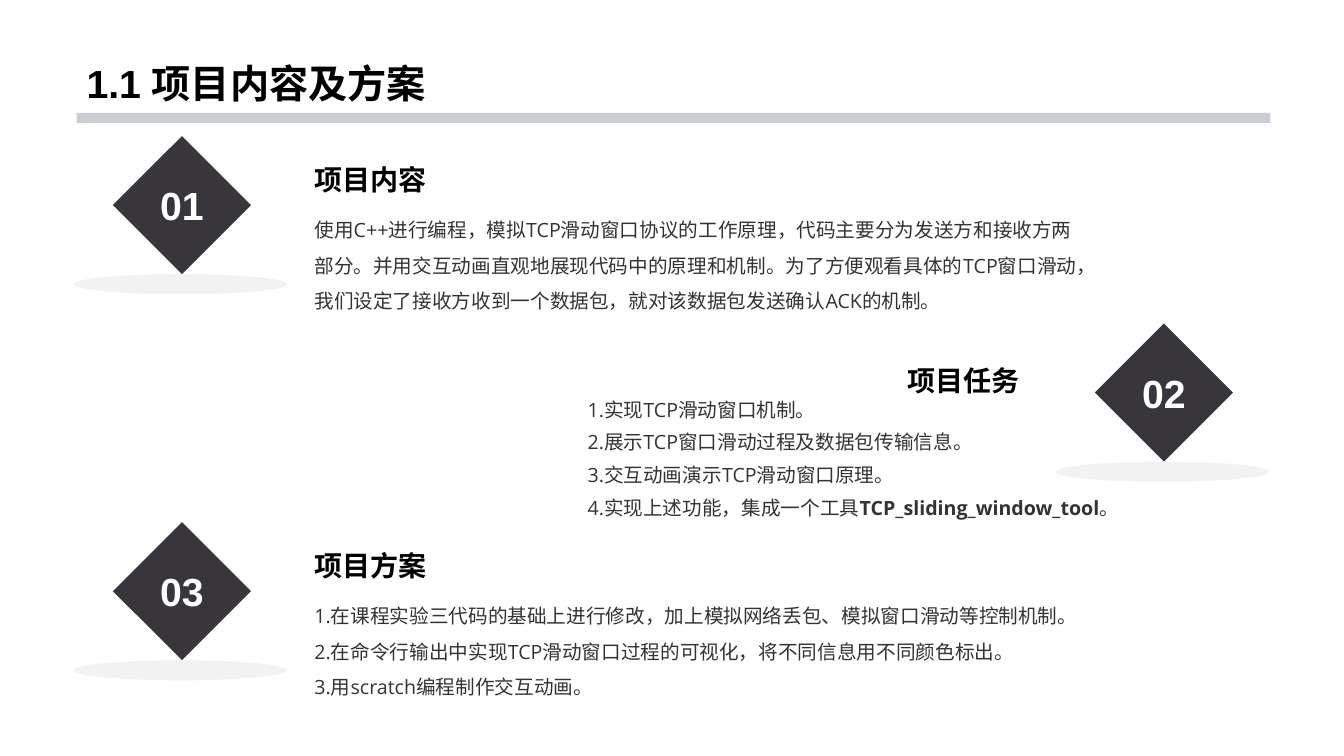
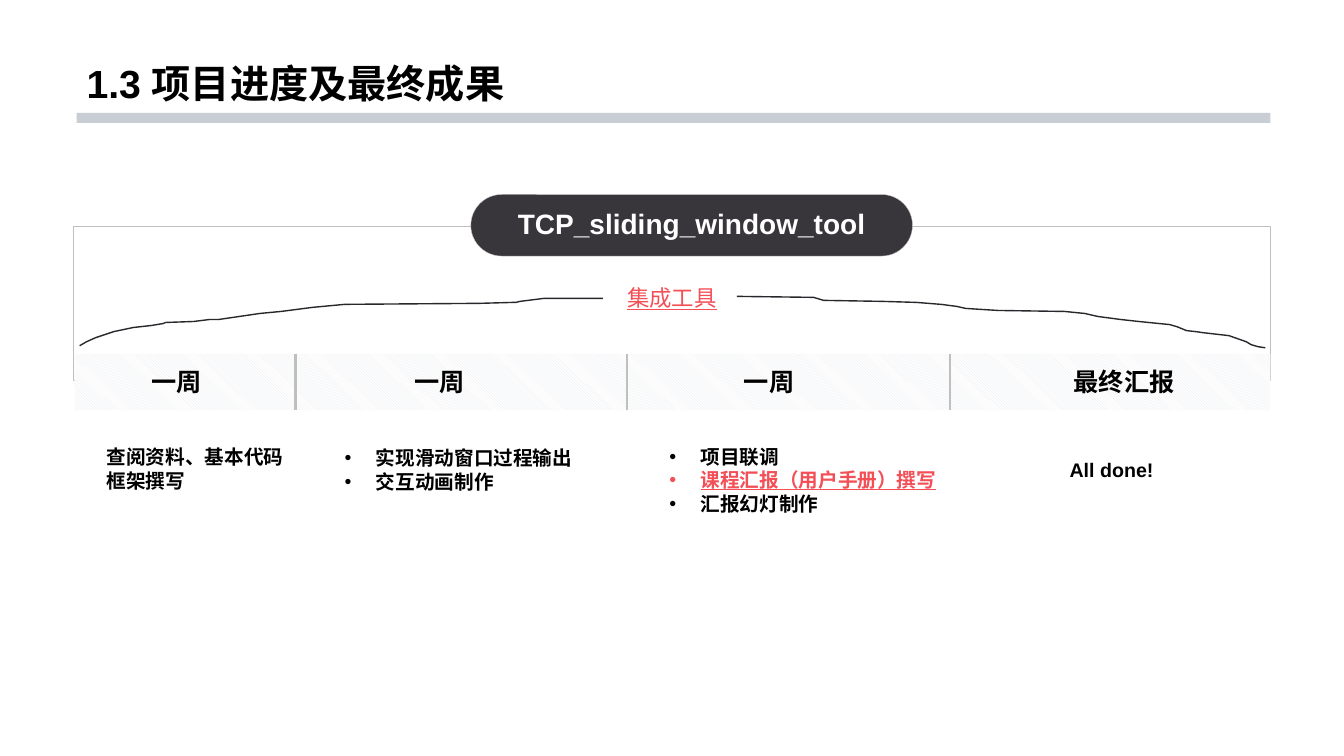
from dataclasses import dataclass
from typing import NamedTuple

from lxml import etree
from pptx import Presentation
from pptx.dml.color import RGBColor
from pptx.enum.dml import MSO_PATTERN
from pptx.enum.lang import MSO_LANGUAGE_ID
from pptx.enum.shapes import MSO_CONNECTOR, MSO_SHAPE
from pptx.enum.text import MSO_ANCHOR, PP_ALIGN
from pptx.oxml.ns import qn
from pptx.util import Inches, Pt

BLACK = RGBColor(0x00, 0x00, 0x00)
WHITE = RGBColor(0xFF, 0xFF, 0xFF)
DARK = RGBColor(0x38, 0x35, 0x3B)
BODY_GREY = RGBColor(0x33, 0x33, 0x33)
BAND_GREY = RGBColor(0xC9, 0xCE, 0xD5)
SHADOW_GREY = RGBColor(0xF2, 0xF2, 0xF2)
LINE_GREY = RGBColor(0xBF, 0xBF, 0xBF)
STRIPE_GREY = RGBColor(0xE4, 0xE6, 0xEA)
CURVE_DARK = RGBColor(0x29, 0x27, 0x2C)
RED = RGBColor(0xF3, 0x4F, 0x56)

HEAD_FONT, BODY_FONT = "Arial", "Open Sans"
LEFT, CENTER, RIGHT = PP_ALIGN.LEFT, PP_ALIGN.CENTER, PP_ALIGN.RIGHT
TOP, MIDDLE, BOTTOM = MSO_ANCHOR.TOP, MSO_ANCHOR.MIDDLE, MSO_ANCHOR.BOTTOM
RECT, ROUNDED = MSO_SHAPE.RECTANGLE, MSO_SHAPE.ROUNDED_RECTANGLE
DIAMOND, OVAL = MSO_SHAPE.DIAMOND, MSO_SHAPE.OVAL
STRAIGHT = MSO_CONNECTOR.STRAIGHT
STRIPES = MSO_PATTERN.DARK_DOWNWARD_DIAGONAL
CHINESE = MSO_LANGUAGE_ID.SIMPLIFIED_CHINESE
TOOL = "TCP_sliding_window_tool"


class Run(NamedTuple):
    text: str
    bold: bool | None = None
    color: RGBColor | None = None
    underline: bool = False


class Box(NamedTuple):
    x: float
    y: float
    w: float
    h: float

    def inches(self):
        return [Inches(v) for v in self]


@dataclass
class Topic:
    number: str
    x: float
    y: float
    heading: str
    heading_box: Box
    body_box: Box
    lines: list
    align: PP_ALIGN = LEFT
    spacing: float = 1.5


@dataclass
class Stage:
    label: str
    label_x: float
    box: Box
    lines: list
    bullet: bool = False


TOPICS = [
    Topic("01", 1.12, 1.35, "项目内容", Box(3.02, 1.51, 7.45, 0.48),
          Box(3.02, 2, 7.83, 1.35),
          ["使用C++进行编程，模拟TCP滑动窗口协议的工作原理，代码主要分为发送方和接收方两部分。"
           "并用交互动画直观地展现代码中的原理和机制。为了方便观看具体的TCP窗口滑动，"
           "我们设定了接收方收到一个数据包，就对该数据包发送确认ACK的机制。"]),
    Topic("02", 10.86, 3.21, "项目任务", Box(3.02, 3.51, 7.19, 0.48),
          Box(5.73, 3.8, 7.6, 1.48),
          ["1.实现TCP滑动窗口机制。",
           "2.展示TCP窗口滑动过程及数据包传输信息。",
           "3.交互动画演示TCP滑动窗口原理。",
           [Run("4.实现上述功能，集成一个工具"), Run(TOOL, bold=True), Run("。")]],
          align=RIGHT, spacing=1.4),
    Topic("03", 1.12, 5.18, "项目方案", Box(3.02, 5.34, 7.45, 0.48),
          Box(3.02, 5.83, 7.61, 1.67),
          ["1.在课程实验三代码的基础上进行修改，加上模拟网络丢包、模拟窗口滑动等控制机制。",
           "2.在命令行输出中实现TCP滑动窗口过程的可视化，将不同信息用不同颜色标出。",
           "3.用scratch编程制作交互动画。"]),
]

STAGES = [
    Stage("一周", 1.4, Box(0.96, 4.23, 2.05, 0.84),
          ["查阅资料、基本代码", "框架撰写"]),
    Stage("一周", 4.01, Box(3.32, 4.1, 2.8, 1.12),
          ["实现滑动窗口过程输出", "交互动画制作"], bullet=True),
    Stage("一周", 7.28, Box(6.54, 4.2, 3, 1.12),
          ["项目联调",
           [Run("课程汇报（用户手册）撰写", color=RED, underline=True)],
           "汇报幻灯制作"], bullet=True),
    Stage("最终汇报", 10.55, Box(10.51, 4.42, 2.05, 0.48), ["All done!"]),
]
DIVIDERS = [2.93, 6.22, 9.42]

LEFT_CURVE = [
    (0.79, 3.43), (0.86, 3.39), (0.95, 3.35), (1.13, 3.29), (1.32, 3.25),
    (1.5, 3.23), (1.62, 3.21), (1.64, 3.2), (1.92, 3.19), (2.08, 3.17),
    (2.17, 3.17), (2.58, 3.11), (2.79, 3.09), (3.1, 3.05), (3.42, 3.02),
    (4.75, 3.01), (5.12, 3), (5.16, 2.99), (5.4, 2.96), (5.98, 2.96)]
RIGHT_CURVE = [
    (7.31, 2.94), (8.07, 2.95), (8.17, 2.98), (8.75, 2.99), (9.09, 3),
    (9.34, 3.02), (9.49, 3.04), (9.58, 3.06), (9.9, 3.08), (10.56, 3.09),
    (10.76, 3.11), (10.89, 3.14), (11.12, 3.17), (11.3, 3.19), (11.5, 3.21),
    (11.6, 3.22), (11.67, 3.24), (11.77, 3.28), (11.86, 3.29), (11.93, 3.3),
    (12.19, 3.33), (12.36, 3.39), (12.41, 3.42), (12.48, 3.44), (12.55, 3.45)]


def write(sp, lines: list, *, size: float, font: str = HEAD_FONT,
          color: RGBColor = BLACK, bold: bool = True, align: PP_ALIGN = LEFT,
          anchor: MSO_ANCHOR = MIDDLE, spacing: float = 1.0,
          bullet: bool = False) -> None:
    """Fill a shape with paragraphs, each a string or a list of runs."""
    tf = sp.text_frame
    tf.word_wrap = True
    tf.vertical_anchor = anchor
    for i, line in enumerate(lines):
        p = tf.add_paragraph() if i else tf.paragraphs[0]
        p.alignment, p.line_spacing = align, spacing
        if bullet:
            pPr = p._p.get_or_add_pPr()
            pPr.set("marL", str(Inches(0.31)))
            pPr.set("indent", str(-Inches(0.31)))
            etree.SubElement(pPr, qn("a:buFont")).set("typeface", "Arial")
            etree.SubElement(pPr, qn("a:buChar")).set("char", "•")
        for part in [Run(line)] if isinstance(line, str) else line:
            r = p.add_run()
            r.text = part.text
            f = r.font
            f.name, f.size, f.language_id = font, Pt(size), CHINESE
            f.bold = bold if part.bold is None else part.bold
            f.color.rgb = part.color or color
            if part.underline:
                f.underline = True
            # East Asian glyphs use the same typeface
            ea = etree.Element(qn("a:ea"), typeface=font)
            r._r.rPr.find(qn("a:latin")).addnext(ea)


def text(s, box: Box, lines: list, **fmt) -> None:
    write(s.shapes.add_textbox(*box.inches()), lines, **fmt)


def shape(s, kind: MSO_SHAPE, box: Box, fill: RGBColor,
          line: RGBColor | None = None):
    sp = s.shapes.add_shape(kind, *box.inches())
    sp.shadow.inherit = False
    sp.fill.solid()
    sp.fill.fore_color.rgb = fill
    if line is None:
        sp.line.fill.background()
    else:
        sp.line.color.rgb = line
        sp.line.width = Pt(0.25)
    return sp


def divider(s, x: float, top: float, bottom: float) -> None:
    c = s.shapes.add_connector(STRAIGHT, Inches(x), Inches(top),
                               Inches(x), Inches(bottom))
    c.line.color.rgb = LINE_GREY
    c.line.width = Pt(1.75)
    etree.SubElement(c._element.spPr, qn("a:effectLst"))


def curve(s, points: list[tuple[float, float]]) -> None:
    pts = [(Inches(x), Inches(y)) for x, y in points]
    fb = s.shapes.build_freeform(*pts[0], scale=1.0)
    fb.add_line_segments(pts[1:], close=False)
    sp = fb.convert_to_shape()
    sp.shadow.inherit = False
    sp.fill.background()
    sp.line.color.rgb = CURVE_DARK
    sp.line.width = Pt(1)


def titled_slide(prs, title: str):
    s = prs.slides.add_slide(prs.slide_layouts[6])
    shape(s, RECT, Box(0.76, 1.12, 11.84, 0.1), BAND_GREY)
    text(s, Box(0.76, 0, 11.81, 1.11), [title], size=28, anchor=BOTTOM,
         spacing=0.9)
    return s


def draw_topic(s, t: Topic) -> None:
    side = 1.37
    shape(s, OVAL, Box(t.x - 0.39, t.y + side, 2.12, 0.2), SHADOW_GREY)
    sp = shape(s, DIAMOND, Box(t.x, t.y, side, side), DARK)
    tf = sp.text_frame
    tf.margin_left = tf.margin_right = tf.margin_top = tf.margin_bottom = 0
    write(sp, [t.number], size=28, color=WHITE, align=CENTER)
    text(s, t.heading_box, [t.heading], size=20, align=t.align, anchor=BOTTOM)
    text(s, t.body_box, t.lines, size=14, font=BODY_FONT, color=BODY_GREY,
         bold=False, anchor=TOP, spacing=t.spacing)


def draw_stage(s, st: Stage) -> None:
    text(s, Box(st.label_x, 3.6, 2.05, 0.37), [st.label], size=18)
    text(s, st.box, st.lines, size=14, bullet=st.bullet)


def content_slide(prs) -> None:
    s = titled_slide(prs, "1.1 项目内容及方案")
    for t in TOPICS:
        draw_topic(s, t)


def schedule_slide(prs) -> None:
    s = titled_slide(prs, "1.3 项目进度及最终成果")

    # Frame with the tool name
    shape(s, RECT, Box(0.73, 2.24, 11.87, 1.53), WHITE, LINE_GREY)
    pill = shape(s, ROUNDED, Box(4.67, 1.93, 4.38, 0.61), DARK, LINE_GREY)
    pill.adjustments[0] = 0.5
    write(pill, [TOOL], size=20, color=WHITE, align=CENTER, spacing=0.9)
    text(s, Box(0.73, 2.72, 11.87, 1.04), [[Run("集成工具", underline=True)]],
         size=16, color=RED, bold=False, align=CENTER, anchor=TOP, spacing=1.2)

    # Timeline bar
    top, height = 3.51, 0.56
    bar = shape(s, RECT, Box(0.74, top, 11.86, height), WHITE)
    bar.fill.patterned()
    bar.fill.pattern = STRIPES
    bar.fill.fore_color.rgb = STRIPE_GREY
    bar.fill.back_color.rgb = WHITE
    for x in DIVIDERS:
        divider(s, x, top, top + height)
    for st in STAGES:
        draw_stage(s, st)

    # Brace over the timeline
    for points in (LEFT_CURVE, RIGHT_CURVE):
        curve(s, points)


def main() -> None:
    prs = Presentation()
    prs.slide_width, prs.slide_height = Inches(13.33), Inches(7.5)
    content_slide(prs)
    schedule_slide(prs)
    prs.save("out.pptx")


if __name__ == "__main__":
    main()
